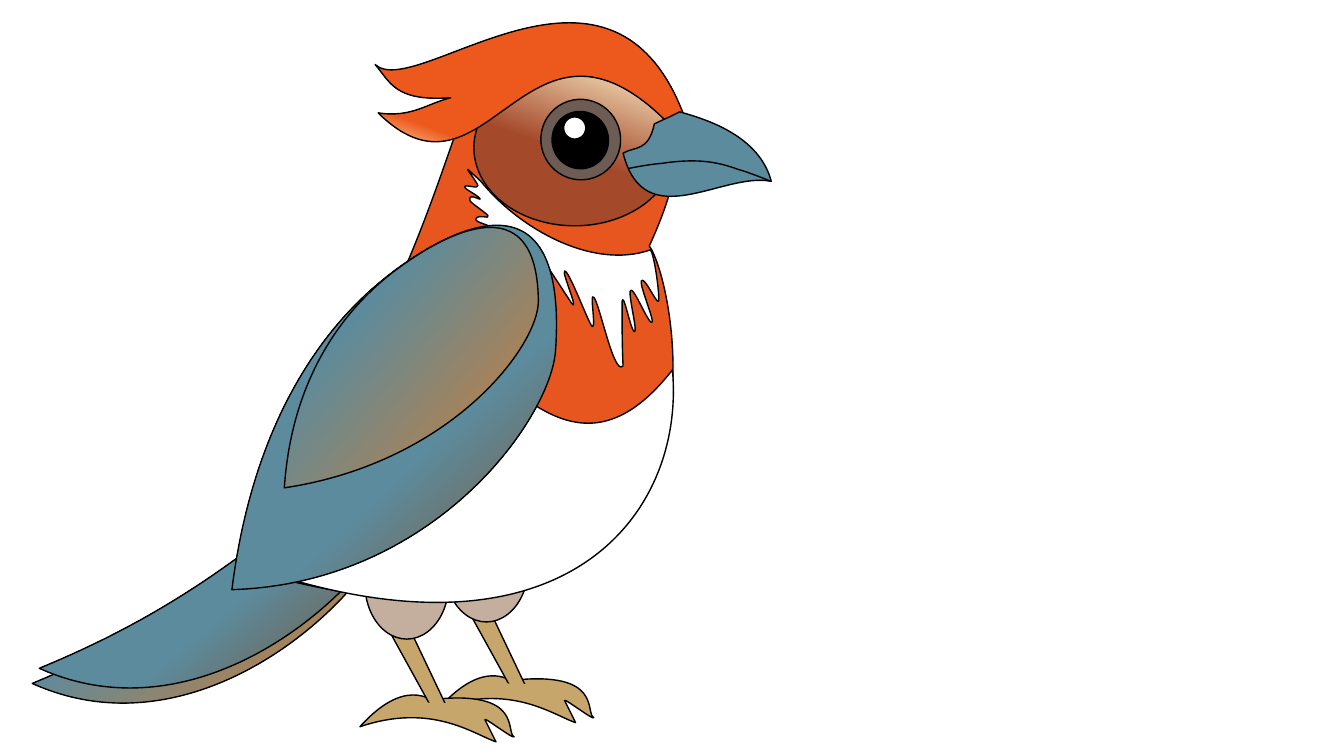
import math
from dataclasses import dataclass

import pptx
import pptx.dml.color
import pptx.enum.shapes
import pptx.oxml.ns
import pptx.util
from lxml import etree

OVAL = pptx.enum.shapes.MSO_SHAPE.OVAL
RGB = pptx.dml.color.RGBColor.from_string
qn = pptx.oxml.ns.qn


@dataclass(frozen=True)
class Theme:
    ink: str = "000000"
    white: str = "FFFFFF"
    claw: str = "C6A66B"
    thigh: str = "C4AE9D"
    breast: str = "E85620"
    ring: str = "6D5C53"
    blue: str = "5C8B9D"
    # Gradients: angle, then (position, colour) stops
    under: tuple = (230, (0, "DF7C27"), (0.56, "5C8B9D"))
    tail: tuple = (230, (0, "7E4C26"), (0.38, "5C8B9D"))
    mask: tuple = (110, (0, "FFF2CC"), (0.54, "A4492A"))
    crest: tuple = (290, (0, "FFF2CC"), (0.19, "ED591D"))
    wing: tuple = (230, (0, "885126"), (0.39, "5C8B9D"))
    patch: tuple = (230, (0, "DF7C27"), (0.66, "5C8B9D"))
    stroke: float = 1


class Canvas:
    """Draws on a square grid that splits the slide's height into 7.5 rows."""

    def __init__(self, deck, theme):
        self.theme = theme
        self.cell = deck.slide_height / 7.5
        slide = deck.slides.add_slide(deck.slide_layouts[6])
        self.bird = slide.shapes.add_group_shape().shapes

    def unit(self, *cells):
        return [round(c * self.cell) for c in cells]

    def paint(self, shape, fill, edge, turn):
        shape.shadow.inherit = False
        shape.rotation = turn
        if fill is None:
            shape.fill.background()
        elif isinstance(fill, str):
            shape.fill.solid()
            shape.fill.fore_color.rgb = RGB(fill)
        else:
            angle, *stops = fill
            shape.fill.gradient()
            shape.fill.gradient_angle = 360 - angle
            for stop, (place, color) in zip(shape.fill.gradient_stops, stops):
                stop.position = place
                stop.color.rgb = RGB(color)
        if edge:
            shape.line.color.rgb = RGB(self.theme.ink)
            shape.line.width = pptx.util.Pt(self.theme.stroke)
        else:
            shape.line.fill.background()

    def oval(self, box, fill, turn=0):
        shape = self.bird.add_shape(OVAL, *self.unit(*box))
        self.paint(shape, fill, True, turn)

    def curve(self, box, track, fill=None, edge=True, turn=0, move=(0, 0)):
        """Draw a track of M, L, C and Z steps, given as seen after the turn."""
        left, top, wide, high = box
        x, y, w, h = self.unit(left + move[0], top + move[1], wide, high)
        pen = self.bird.build_freeform(x, y)
        pen.add_line_segments([(x + w, y + h)], close=False)
        shape = pen.convert_to_shape()
        route = shape._element.find(".//" + qn("a:path"))
        for step in list(route):
            route.remove(step)

        cos, sin = math.cos(math.radians(turn)), math.sin(math.radians(turn))
        tags = {"M": "a:moveTo", "L": "a:lnTo", "C": "a:cubicBezTo", "Z": "a:close"}
        words = iter(track.split())
        for word in words:
            if word in tags:
                step = etree.SubElement(route, qn(tags[word]))
                continue
            dx = float(word) - left - wide / 2
            dy = float(next(words)) - top - high / 2
            px, py = self.unit(dx * cos + dy * sin + wide / 2,
                               dy * cos - dx * sin + high / 2)
            etree.SubElement(step, qn("a:pt"), x=str(px), y=str(py))
        self.paint(shape, fill, edge, turn)


def tail(art, theme):
    for fill, move in ((theme.under, (0, 0)), (theme.tail, (0.07, -0.15))):
        art.curve((0.32, 4.02, 3.67, 2.95),
                  "M 3.31 4.85 C 3.75 4.53 4.16 3.03 3.92 5.07 "
                  "C 3.83 5.75 2.07 7.57 0.32 6.78 C 1.41 6.33 2.25 5.79 3.31 4.85 Z",
                  fill, move=move)


def legs(art, theme):
    for move in ((0, 0), (-0.79, 0.19)):
        art.curve((4.36, 6.71, 1.53, 0.47),
                  "M 5.08 6.75 C 5.99 6.65 5.8 7.08 5.89 7.12 "
                  "C 5.89 7.15 5.59 6.92 5.6 6.95 L 5.71 7.17 "
                  "C 5.48 7.09 5.07 6.78 4.36 7.02 C 4.81 6.52 5.06 6.77 5.08 6.75 Z",
                  theme.claw, move=move)
        art.curve((4.59, 5.96, 0.62, 0.87),
                  "M 4.59 5.96 L 4.83 6 L 5.21 6.8 L 5.07 6.83 L 4.59 5.96 Z",
                  theme.claw, move=move)
        art.curve((4.94, 6.73, 0.36, 0.21),
                  "M 4.91 6.86 L 5.02 6.78 L 5.32 6.79 L 5.26 6.85 L 4.91 6.86 Z",
                  theme.claw, edge=False, turn=321.1, move=move)
    for left, top in ((4.41, 5.08), (3.62, 5.25)):
        art.oval((left, top, 0.83, 1.09), theme.thigh)


def body(art, theme):
    art.curve((2.54, 0.3, 4.2, 5.65),
              "M 4.7 0.85 C 4.4 0.13 7.72 -0.32 6.44 2.44 "
              "C 6.73 2.84 7.55 7.01 2.62 5.7 C 2.19 5.74 3.65 3.51 4 2.7 "
              "C 4.35 1.89 4.53 1.23 4.7 0.85 Z", theme.breast)
    # Ragged collar
    art.curve((4.61, 1.68, 1.92, 1.96),
              "M 4.77 1.8 C 5.15 2.27 5.88 2.68 6.45 2.48 "
              "C 6.49 2.51 6.55 2.97 6.53 2.99 C 6.51 3.01 6.38 2.72 6.36 2.79 "
              "C 6.35 2.86 6.51 3.22 6.46 3.2 C 6.41 3.17 6.27 2.81 6.25 2.89 "
              "C 6.24 2.97 6.33 3.31 6.29 3.29 C 6.25 3.26 6.18 2.87 6.17 3 "
              "C 6.17 3.21 6.17 3.42 6.18 3.63 C 6.09 3.74 5.95 3.02 5.89 2.95 "
              "C 5.84 2.88 5.93 3.34 5.86 3.22 C 5.8 3.11 5.64 2.68 5.6 2.69 "
              "C 5.57 2.7 5.75 3.11 5.67 3.01 L 5.33 2.49 "
              "C 5.08 2.39 5.49 2.7 5.42 2.72 C 5.06 2.81 4.67 2.36 4.71 2.32 "
              "C 4.75 2.28 4.92 2.34 4.9 2.28 C 4.88 2.23 4.7 2.21 4.72 2.17 "
              "C 4.75 2.12 4.86 2.18 4.84 2.14 C 4.81 2.1 4.64 2 4.66 1.98 "
              "C 4.65 1.91 4.78 2 4.76 1.97 C 4.73 1.93 4.59 1.87 4.61 1.85 "
              "C 4.63 1.83 4.75 1.88 4.74 1.84 C 4.72 1.79 4.62 1.67 4.64 1.68 "
              "L 4.77 1.8 Z", theme.white)
    # Belly
    art.curve((2.51, 3, 4.17, 2.98),
              "M 3.85 3 C 4.8 3.2 5.55 5.1 6.67 3.67 "
              "C 6.8 5.11 5.59 6.69 2.51 5.63 L 3.85 3 Z", theme.white)


def face(art, theme):
    art.oval((4.7, 0.69, 2, 1.55), theme.mask)
    for box, fill in (((5.36, 0.99, 0.8, 0.79), theme.ring),
                      ((5.47, 1.11, 0.57, 0.56), theme.ink),
                      ((5.59, 1.16, 0.22, 0.22), theme.white)):
        art.oval(box, fill, turn=71.3)
    art.curve((3.72, 0.22, 3.18, 1.31),
              "M 4.47 0.97 C 3.91 1.01 3.87 0.81 3.72 0.64 "
              "C 4.15 1.04 6.28 -1.03 6.9 1.53 C 5.26 -0.51 4.91 2.26 3.75 1.12 "
              "C 4.08 1.17 4.23 1.03 4.47 0.97 Z", theme.crest)


def wing(art, theme):
    art.curve((2.21, 2.29, 3.35, 3.48),
              "M 3.78 2.79 C 4.2 2.44 5.65 1.44 5.51 3.48 "
              "C 5.46 4.16 4.3 5.79 2.3 5.85 C 2.53 4.02 3.33 3.16 3.78 2.79 Z",
              theme.wing, turn=357)
    art.curve((2.62, 2.4, 2.81, 2.22),
              "M 3.86 2.73 C 4.19 2.47 5.33 1.68 5.34 2.99 "
              "C 5.34 3.43 4.48 4.59 2.82 4.84 C 2.9 3.64 3.51 3.01 3.86 2.73 Z",
              theme.patch, turn=350.6)


def beak(art, theme):
    art.curve((6.18, 1.11, 1.48, 0.84),
              "M 6.49 1.23 C 6.57 1.19 6.67 1.15 6.74 1.11 "
              "C 6.99 1.18 7.53 1.34 7.65 1.8 C 7.17 1.7 6.39 2.35 6.18 1.52 "
              "C 6.3 1.45 6.43 1.51 6.49 1.23 Z", theme.blue)
    art.curve((6.24, 1.59, 1.41, 0.21),
              "M 6.24 1.67 C 6.34 1.65 6.45 1.63 6.57 1.62 "
              "C 6.69 1.6 6.85 1.59 6.97 1.6 C 7.1 1.61 7.21 1.64 7.32 1.68 "
              "C 7.43 1.71 7.65 1.8 7.65 1.8")


def main():
    deck = pptx.Presentation()
    deck.slide_width = pptx.util.Inches(13.33)
    deck.slide_height = pptx.util.Inches(7.5)
    theme = Theme()
    art = Canvas(deck, theme)
    for part in (tail, legs, body, face, wing, beak):
        part(art, theme)
    deck.save("out.pptx")


if __name__ == "__main__":
    main()
